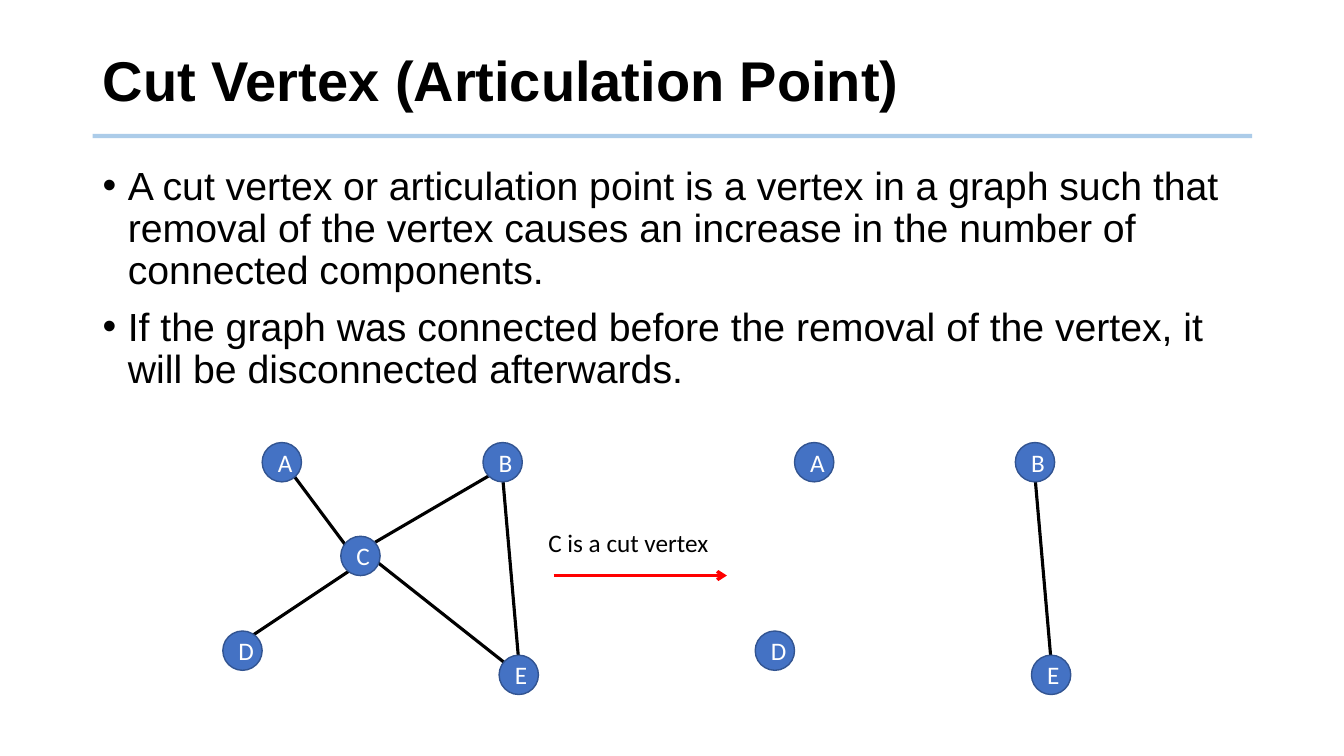
from lxml.etree import SubElement
from pptx import Presentation
from pptx.dml.color import RGBColor
from pptx.enum.shapes import MSO_CONNECTOR as Connector, MSO_SHAPE as Preset
from pptx.enum.text import MSO_ANCHOR as Anchor, MSO_AUTO_SIZE as AutoSize, PP_ALIGN as Align
from pptx.oxml.ns import qn
from pptx.util import Emu, Pt

EMU_PER_PX = 9144
COLOURS = {
    "text": "000000",
    "rule": "5B9BD5",
    "node": "4472C4",
    "outline": "325491",
    "label": "FFFFFF",
    "arrow": "FF0000",
}
NODE_SIZE = 39
NODES = {"A": (260, 439), "C": (338, 532), "B": (479, 439), "D": (221, 626), "E": (495, 650)}
EDGES = {
    "BE": (499, 478, 514, 650),
    "BC": (372, 538, 485, 472),
    "CE": (362, 548, 510, 665),
    "AC": (284, 462, 354, 556),
    "CD": (245, 634, 362, 556),
}
AFTER_SHIFT = 528
POINTS = [
    "A cut vertex or articulation point is a vertex in a graph such that removal of the "
    "vertex causes an increase in the number of connected components.",
    "If the graph was connected before the removal of the vertex, it will be "
    "disconnected afterwards.",
]


def px(*lengths):
    return [Emu(length * EMU_PER_PX) for length in lengths]


def colour(name):
    return RGBColor.from_string(COLOURS[name])


class GraphSlide:
    heading_font = "Arial"
    label_font = "Calibri"

    def __init__(self, deck):
        self.page = deck.slides.add_slide(deck.slide_layouts[5])

    def style(self, paragraph, font, size, name, bold=False):
        for span in paragraph.runs:
            span.font.name = font
            span.font.size = Pt(size)
            span.font.bold = bold
            span.font.color.rgb = colour(name)

    def title(self, text, left, top, width, height):
        box = self.page.shapes.title
        box.left, box.top, box.width, box.height = px(left, top, width, height)
        frame = box.text_frame
        frame.text = text
        frame.auto_size = AutoSize.NONE
        frame.vertical_anchor = Anchor.MIDDLE
        paragraph = frame.paragraphs[0]
        paragraph.alignment = Align.LEFT
        paragraph.line_spacing = 0.9
        self.style(paragraph, self.heading_font, 40, "text", bold=True)

    def bullets(self, points, left, top, width, height):
        frame = self.page.shapes.add_textbox(*px(left, top, width, height)).text_frame
        frame.word_wrap = True
        frame.text = "\n".join(points)
        for index, paragraph in enumerate(frame.paragraphs):
            properties = paragraph._p.get_or_add_pPr()
            indent = px(25)[0]
            properties.set("marL", str(indent))
            properties.set("indent", str(-indent))
            SubElement(properties, qn("a:buFont")).set("typeface", self.heading_font)
            SubElement(properties, qn("a:buChar")).set("char", "•")
            paragraph.line_spacing = 0.9
            paragraph.space_before = Pt(10 if index else 0)
            self.style(paragraph, self.heading_font, 28, "text")

    def line(self, ends, name="text", width=2.25, opacity=None, arrow=False):
        connector = self.page.shapes.add_connector(Connector.STRAIGHT, *px(*ends))
        connector.line.width = Pt(width)
        connector.line.color.rgb = colour(name)
        properties = connector._element.spPr
        outline = connector.line._get_or_add_ln()
        if opacity:
            shade = outline.find(f".//{qn('a:srgbClr')}")
            SubElement(shade, qn("a:alpha")).set("val", str(opacity * 1000))
        if arrow:
            SubElement(outline, qn("a:tailEnd")).set("type", "arrow")
        SubElement(properties, qn("a:effectLst"))

    def node(self, letter, left, top):
        circle = self.page.shapes.add_shape(Preset.OVAL, *px(left, top, NODE_SIZE, NODE_SIZE))
        circle.shadow.inherit = False
        circle.fill.solid()
        circle.fill.fore_color.rgb = colour("node")
        circle.line.color.rgb = colour("outline")
        circle.line.width = Pt(1)
        frame = circle.text_frame
        frame.text = letter
        frame.vertical_anchor = Anchor.MIDDLE
        frame.paragraphs[0].alignment = Align.CENTER
        self.style(frame.paragraphs[0], self.label_font, 18, "label")

    def caption(self, text, left, top, width, height):
        frame = self.page.shapes.add_textbox(*px(left, top, width, height)).text_frame
        frame.word_wrap = False
        frame.auto_size = AutoSize.SHAPE_TO_FIT_TEXT
        frame.text = text
        self.style(frame.paragraphs[0], self.label_font, 18, "text")

    def graph(self, letters, shift=0):
        for pair, (x1, y1, x2, y2) in EDGES.items():
            if set(pair) <= set(letters):
                self.line((x1 + shift, y1, x2 + shift, y2))
        for letter in letters:
            left, top = NODES[letter]
            self.node(letter, left + shift, top)


def main():
    deck = Presentation()
    deck.slide_width, deck.slide_height = px(1333, 750)
    slide = GraphSlide(deck)
    slide.line((92, 135, 1242, 135), "rule", width=3, opacity=50)
    slide.title("Cut Vertex (Articulation Point)", 92, 28, 1150, 110)
    slide.bullets(POINTS, 92, 160, 1150, 515)
    slide.graph("ACBDE")
    slide.caption("C is a cut vertex", 534, 518, 181, 40)
    slide.graph("ABDE", AFTER_SHIFT)
    slide.line((549, 571, 721, 571), "arrow", arrow=True)
    deck.save("out.pptx")


if __name__ == "__main__":
    main()
